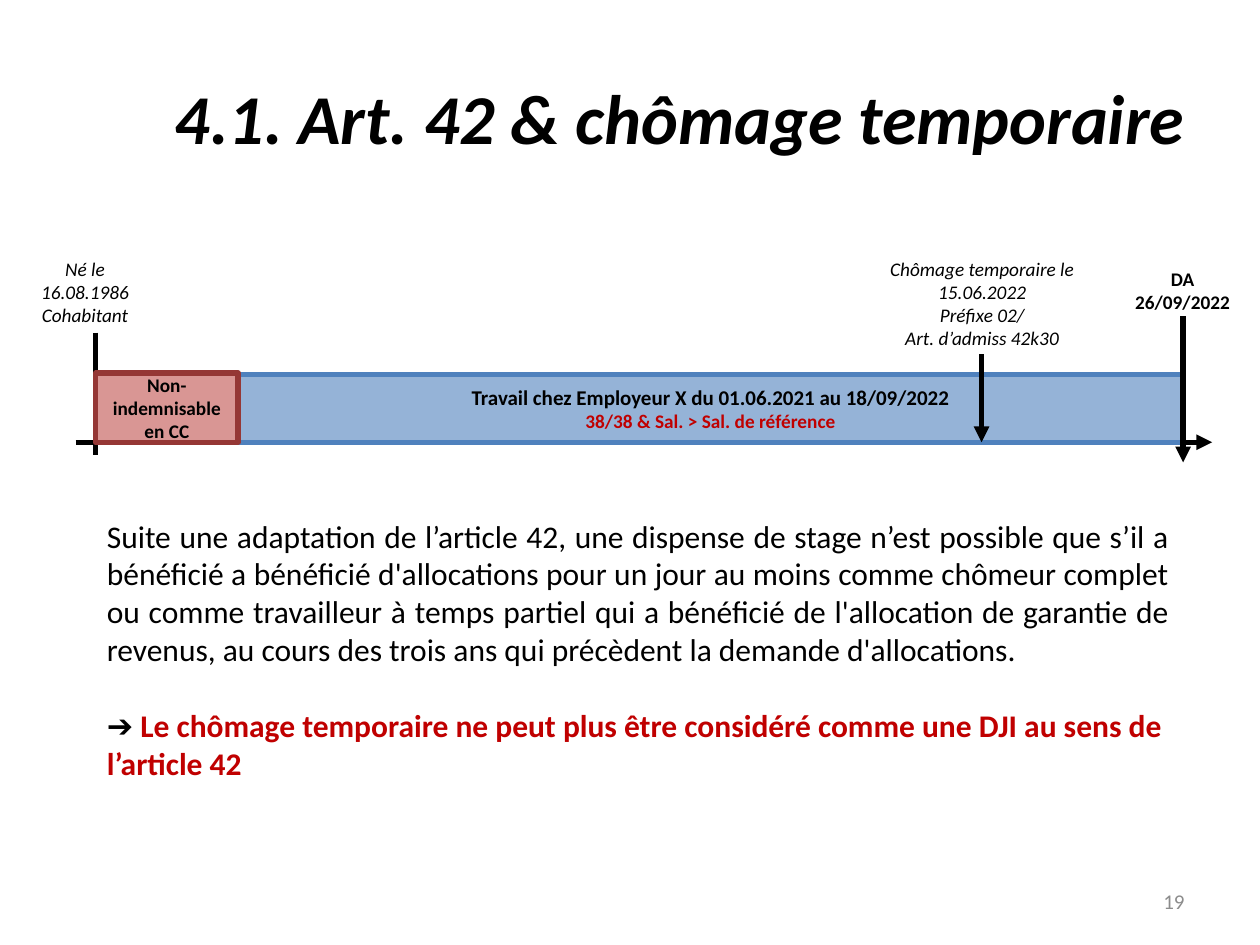
from lxml import etree
from pptx import Presentation
from pptx import util as u
from pptx.dml.color import RGBColor
from pptx.enum import shapes, text
from pptx.oxml.ns import qn

INK = {"black": "000000", "grey": "8C8C8C", "red": "C00000",
       "blue": "95B3D7", "blue edge": "4F81BD",
       "rose": "D99694", "rose edge": "953735"}
FONT = "Calibri"
LEFT, MID, RIGHT, FULL = (text.PP_ALIGN.LEFT, text.PP_ALIGN.CENTER,
                          text.PP_ALIGN.RIGHT, text.PP_ALIGN.JUSTIFY)
TOP, CENTRE = text.MSO_ANCHOR.TOP, text.MSO_ANCHOR.MIDDLE


def rgb(name):
    return RGBColor.from_string(INK[name])


def write(frame, paras, align=MID, anchor=TOP):
    """Fill a frame; each paragraph is a list of (text, size, style, colour)."""
    frame.word_wrap = True
    frame.vertical_anchor = anchor
    for i, runs in enumerate(paras):
        para = frame.paragraphs[0] if i == 0 else frame.add_paragraph()
        para.alignment = align
        for words, size, style, ink in runs:
            run = para.add_run()
            run.text = words
            font = run.font
            font.name, font.size = FONT, u.Pt(size)
            font.bold, font.italic = "b" in style, "i" in style
            font.color.rgb = rgb(ink)


def label(slide, box, paras, align=MID, anchor=TOP):
    area = slide.shapes.add_textbox(*map(u.Inches, box))
    write(area.text_frame, paras, align, anchor)
    return area.text_frame


def bar(slide, box, fill, edge, paras):
    rect = slide.shapes.add_shape(shapes.MSO_SHAPE.RECTANGLE,
                                  *map(u.Inches, box))
    rect.shadow.inherit = False
    rect.fill.solid()
    rect.fill.fore_color.rgb = rgb(fill)
    rect.line.color.rgb = rgb(edge)
    rect.line.width = u.Pt(3)
    write(rect.text_frame, paras, anchor=CENTRE)


def rule(slide, x1, y1, x2, y2, arrow=True):
    line = slide.shapes.add_connector(shapes.MSO_CONNECTOR.STRAIGHT,
                                      *map(u.Inches, (x1, y1, x2, y2)))
    line.line.color.rgb = rgb("black")
    line.line.width = u.Pt(3)
    if arrow:
        etree.SubElement(line.line._get_or_add_ln(), qn("a:tailEnd"),
                         type="triangle")
    etree.SubElement(line._element.spPr, qn("a:effectLst"))


def timeline(slide, x, y, width):
    """Dated bars on an axis; x and y are the top left of the region."""
    axis = y + 1.52
    birth, start, ask = x + 0.69, x + 1.82, x + 9.32
    temp = x + 7.72

    # Axis and birth mark
    rule(slide, x + 0.53, axis, x + width, axis)
    rule(slide, birth, y + 0.65, birth, axis + 0.1, arrow=False)
    label(slide, (x, y, 1.21, 0.66),
          [[(words, 11, "i", "black")]
           for words in ("Né le 16.08.1986", "Cohabitant")])

    # Period of work
    bar(slide, (start, axis - 0.54, ask - start, 0.54), "blue", "blue edge",
        [[("Travail chez Employeur X du 01.06.2021 au 18/09/2022",
           12, "b", "black")],
         [("38/38 & Sal. > Sal. de référence", 11, "b", "red")]])

    # Temporary unemployment and claim date
    label(slide, (temp - 1.15, y, 2.31, 0.63),
          [[(words, 11, "i", "black")]
           for words in ("Chômage temporaire le 15.06.2022",
                         "Préfixe 02/", "Art. d’admiss 42k30")])
    rule(slide, ask, y + 0.52, ask, axis + 0.16)
    label(slide, (ask - 0.55, y + 0.08, 1.09, 0.45),
          [[(words, 11, "b", "black")] for words in ("DA", "26/09/2022")])

    # Period without benefit
    bar(slide, (birth, axis - 0.55, start - birth, 0.55), "rose", "rose edge",
        [[("Non-indemnisable en CC", 11, "b", "black")]])
    rule(slide, temp, y + 0.82, temp, axis)


def comment(slide, box):
    """Rule in plain text, then its consequence in red."""
    frame = label(slide, box, [
        [("Suite une adaptation de l’article 42, une dispense de stage n’est "
          "possible que s’il a bénéficié a bénéficié d'allocations pour un "
          "jour au moins comme chômeur complet ou comme travailleur à temps "
          "partiel qui a bénéficié de l'allocation de garantie de revenus, "
          "au cours des trois ans qui précèdent la demande d'allocations.",
          18, "", "black")],
        [("➔", 18, "b", "black"),
         (" Le chômage temporaire ne peut plus être considéré comme une DJI "
          "au sens de l’article 42", 18, "b", "red")]], FULL)
    last = frame.paragraphs[1]
    last.alignment = LEFT
    last.space_before = u.Pt(22)


def main():
    deck = Presentation()
    deck.slide_width, deck.slide_height = u.Inches(10), u.Inches(7.5)
    slide = deck.slides.add_slide(deck.slide_layouts[6])

    # Title and page number
    label(slide, (0.5, 0.3, 9, 1.25),
          [[("4.1. Art. 42 & chômage temporaire", 40, "bi", "black")]],
          RIGHT, CENTRE)
    label(slide, (7.17, 6.95, 2.33, 0.4), [[("19", 12, "", "grey")]],
          RIGHT, CENTRE)

    timeline(slide, 0.07, 1.99, 9.55)
    comment(slide, (0.75, 4.05, 8.63, 2.22))
    deck.save("out.pptx")


if __name__ == "__main__":
    main()
